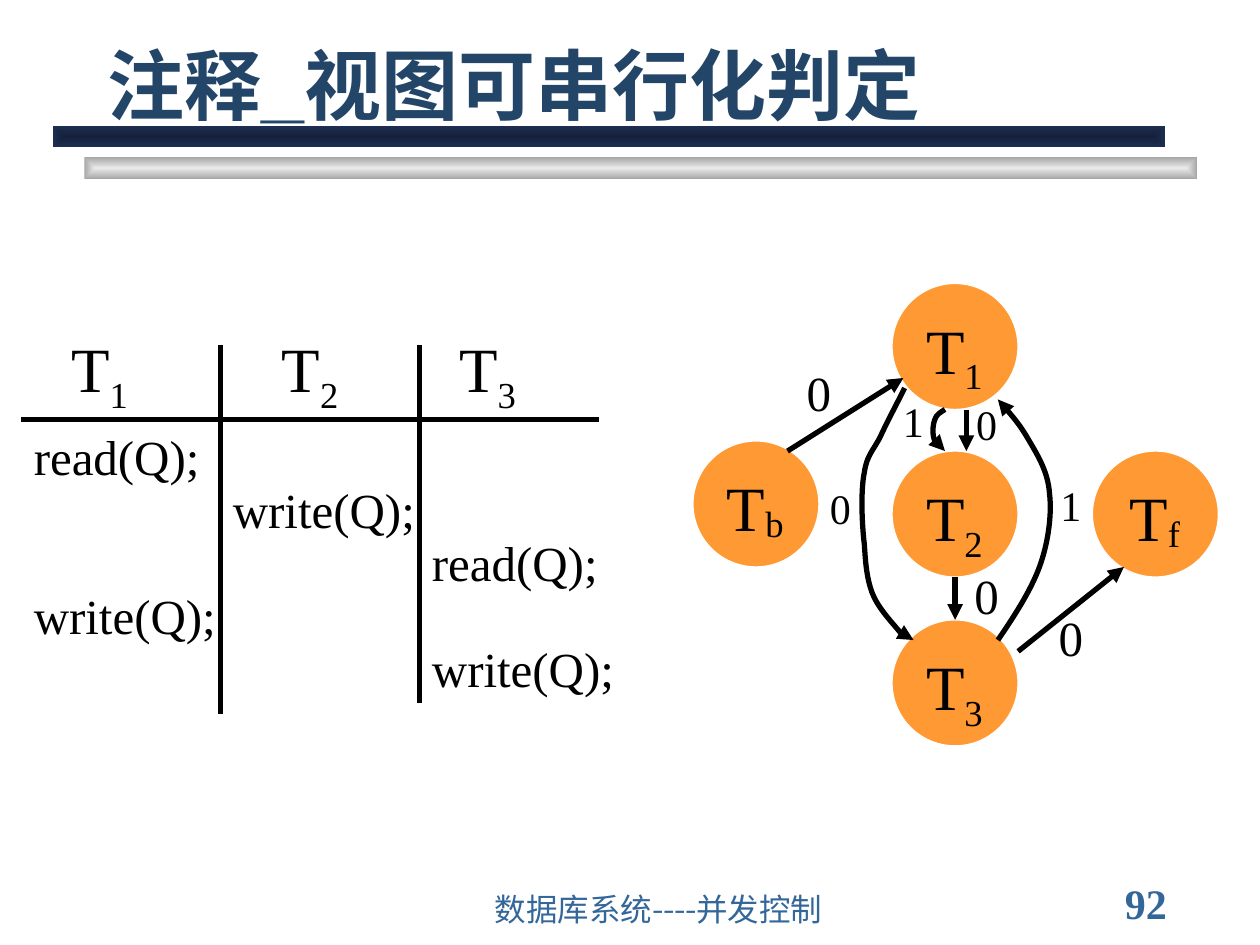
from pptx import Presentation
from pptx.dml.color import RGBColor
from pptx.enum.shapes import MSO_CONNECTOR, MSO_SHAPE
from pptx.enum.text import MSO_ANCHOR, PP_ALIGN
from pptx.oxml import parse_xml
from pptx.oxml.ns import nsdecls, qn
from pptx.oxml.xmlchemy import OxmlElement
from pptx.util import Inches, Pt

STRAIGHT = MSO_CONNECTOR.STRAIGHT
RECTANGLE, OVAL = MSO_SHAPE.RECTANGLE, MSO_SHAPE.OVAL
TOP, MIDDLE, BOTTOM = MSO_ANCHOR.TOP, MSO_ANCHOR.MIDDLE, MSO_ANCHOR.BOTTOM
LEFT, CENTER = PP_ALIGN.LEFT, PP_ALIGN.CENTER

SERIF = "Times New Roman"
BLACK, WHITE, ORANGE = "000000", "FFFFFF", "FF9933"
TITLE_BLUE, FOOTER_BLUE = "224568", "336699"


def rgb(value):
    return RGBColor.from_string(value)


def style_run(run, color=BLACK, **formats):
    for name, value in ({"name": SERIF, "size": Pt(28)} | formats).items():
        setattr(run.font, name, value)
    run.font.color.rgb = rgb(color)


def add_text(slide, box, text, align=LEFT, anchor=TOP, wrap=True, spacing=None, **formats):
    frame = slide.shapes.add_textbox(*map(Inches, box)).text_frame
    frame.word_wrap, frame.vertical_anchor = wrap, anchor
    paragraph = frame.paragraphs[0]
    paragraph.alignment, paragraph.line_spacing = align, spacing
    run = paragraph.add_run()
    run.text = text
    style_run(run, **formats)
    return paragraph


def add_transaction(slide, box, subscript, baseline=-25):
    paragraph = add_text(slide, box, "T", align=CENTER, size=Pt(36))
    run = paragraph.add_run()
    run.text = subscript
    style_run(run, size=Pt(36))
    run._r.get_or_add_rPr().set("baseline", str(baseline * 1000))


def style_stroke(shape, arrow):
    shape.line.width = Pt(3)
    shape.line.color.rgb = rgb(BLACK)
    if arrow:
        shape.line._get_or_add_ln().append(
            parse_xml(f'<a:tailEnd {nsdecls("a")} type="triangle"/>'))


def add_line(slide, start, end, arrow=False):
    line = slide.shapes.add_connector(STRAIGHT, *map(Inches, (*start, *end)))
    style_stroke(line, arrow)
    line._element.spPr.append(OxmlElement("a:effectLst"))


def add_curved_arrow(slide, points):
    """Draw cubic curves through a start point and groups of three points."""
    start, *controls = [(Inches(x), Inches(y)) for x, y in points]
    builder = slide.shapes.build_freeform(*start)
    builder.add_line_segments(controls, close=False)
    curve = builder.convert_to_shape()
    segments = list(curve._element.iter(qn("a:lnTo")))
    for i in range(0, len(segments), 3):
        cubic = OxmlElement("a:cubicBezTo")
        segments[i].addprevious(cubic)
        for segment in segments[i:i + 3]:
            cubic.append(segment[0])
            segment.getparent().remove(segment)
    curve.fill.background()
    curve.shadow.inherit = False
    style_stroke(curve, arrow=True)


def add_bar(slide, box, center_color, edge_color):
    bar = slide.shapes.add_shape(RECTANGLE, *map(Inches, box))
    bar.shadow.inherit = False
    bar.line.fill.background()
    bar.fill.gradient()
    for stop, color in zip(bar.fill.gradient_stops, (center_color, edge_color)):
        stop.color.rgb = rgb(color)
    linear = bar._element.spPr.find(f'.//{qn("a:lin")}')
    linear.getparent().replace(linear, parse_xml(
        f'<a:path {nsdecls("a")} path="shape">'
        '<a:fillToRect l="50000" t="50000" r="50000" b="50000"/></a:path>'))


def add_header(slide, left, top):
    add_bar(slide, (left + 0.25, top + 1, 8.83, 0.17), "EAEAEA", "A7A7A7")
    add_bar(slide, (left, top + 0.75, 8.83, 0.17), "15213B", "1E2E53")
    title = slide.shapes.title
    box = {"left": left + 0.33, "top": top, "width": 8.5, "height": 0.83}
    for side, length in box.items():
        setattr(title, side, Inches(length))
    title.text_frame.vertical_anchor = BOTTOM
    paragraph = title.text_frame.paragraphs[0]
    paragraph.alignment = LEFT
    run = paragraph.add_run()
    run.text = "注释_视图可串行化判定"
    style_run(run, color=TITLE_BLUE, name="Arial", size=Pt(44), bold=True)


def add_footer(slide, left, top):
    add_text(slide, (left + 5, top, 1.08, 0.33), "92", anchor=MIDDLE, wrap=False,
             color=FOOTER_BLUE, size=Pt(24), bold=True)
    add_text(slide, (left, top + 0.08, 4.08, 0.33), "数据库系统----并发控制",
             anchor=BOTTOM, color=FOOTER_BLUE, name="Karla", size=Pt(18))


def add_schedule(slide, left, top):
    column_step, row_step = 1.58, 0.42
    rule_y = top + 0.76
    add_line(slide, (left, rule_y), (left + 4.58, rule_y))
    for column, bottom in ((1, 3.1), (2, 3.01)):
        x = left + column * column_step
        add_line(slide, (x, top + 0.17), (x, top + bottom))
    for subscript, x in (("1", 0.08), ("2", 1.75), ("3", 3.16)):
        add_transaction(slide, (left + x, top, 1.08, 0.7), subscript)
    operations = ((0, "read(Q);"), (1, "write(Q);"), (2, "read(Q);"),
                  (0, "write(Q);"), (2, "write(Q);"))
    for row, (column, operation) in enumerate(operations):
        box = (left + column * column_step, rule_y + 0.1 + row * row_step, 1.83, 0.47)
        add_text(slide, box, operation, spacing=0.8)


def add_node(slide, left, top, subscript, baseline):
    circle = slide.shapes.add_shape(OVAL, *map(Inches, (left, top, 1, 1)))
    circle.shadow.inherit = False
    circle.fill.solid()
    circle.fill.fore_color.rgb = rgb(ORANGE)
    circle.line.color.rgb = rgb(WHITE)
    circle.line.width = Pt(0.75)
    add_transaction(slide, (left + 0.08, top + 0.17, 0.83, 0.7), subscript, baseline)


def add_precedence_graph(slide, left, top):
    def place(*points):
        return [(left + x, top + y) for x, y in points]

    nodes = (("1", 1.58, 0, -25), ("2", 1.58, 1.33, -25), ("3", 1.58, 2.67, -25),
             ("b", 0, 1.25, -10), ("f", 3.17, 1.33, -10))
    for subscript, x, y, baseline in nodes:
        add_node(slide, left + x, top + y, subscript, baseline)

    straight_edges = (((0.75, 1.33), (1.67, 0.75)), ((2.58, 2.92), (3.42, 2.25)),
                      ((2.17, 1), (2.17, 1.33)), ((2.08, 2.33), (2.08, 2.67)))
    for edge in straight_edges:
        add_line(slide, *place(*edge), arrow=True)

    t1_to_t3 = ((1.68, 0.83), (1.61, 0.97), (1.54, 1.1), (1.49, 1.21),
                (1.43, 1.33), (1.38, 1.36), (1.36, 1.5),
                (1.33, 1.64), (1.34, 1.91), (1.36, 2.07),
                (1.37, 2.23), (1.38, 2.34), (1.42, 2.45),
                (1.46, 2.56), (1.56, 2.67), (1.62, 2.74),
                (1.67, 2.8), (1.71, 2.82), (1.75, 2.83))
    t1_to_t2 = ((2, 1), (1.97, 1.02), (1.93, 1.04), (1.92, 1.08),
                (1.9, 1.13), (1.9, 1.21), (1.92, 1.25),
                (1.93, 1.29), (1.97, 1.31), (2, 1.33))
    t3_to_t1 = ((2.42, 2.83), (2.55, 2.64), (2.68, 2.44), (2.75, 2.25),
                (2.82, 2.06), (2.85, 1.83), (2.83, 1.67),
                (2.82, 1.5), (2.74, 1.37), (2.67, 1.25),
                (2.6, 1.13), (2.51, 1.02), (2.42, 0.92))
    for curve in (t1_to_t3, t1_to_t2, t3_to_t1):
        add_curved_arrow(slide, place(*curve))

    edge_labels = (("1", 1.5, 0.92, 24), ("0", 0.75, 0.67, 28), ("0", 2.75, 2.61, 28),
                   ("0", 2.08, 0.94, 24), ("0", 2.08, 2.28, 28),
                   ("0", 0.92, 1.61, 24), ("1", 2.75, 1.58, 24))
    for label, x, y, size in edge_labels:
        add_text(slide, (left + x, top + y, 0.5, 0.45), label, align=CENTER,
                 spacing=0.8, size=Pt(size))


def main():
    deck = Presentation()
    deck.slide_width, deck.slide_height = Inches(10), Inches(7.5)
    slide = deck.slides.add_slide(deck.slide_layouts[5])
    add_header(slide, 0.42, 0.25)
    add_schedule(slide, 0.17, 2.57)
    add_precedence_graph(slide, 5.5, 2.25)
    add_footer(slide, 3.83, 7)
    deck.save("out.pptx")


if __name__ == "__main__":
    main()
